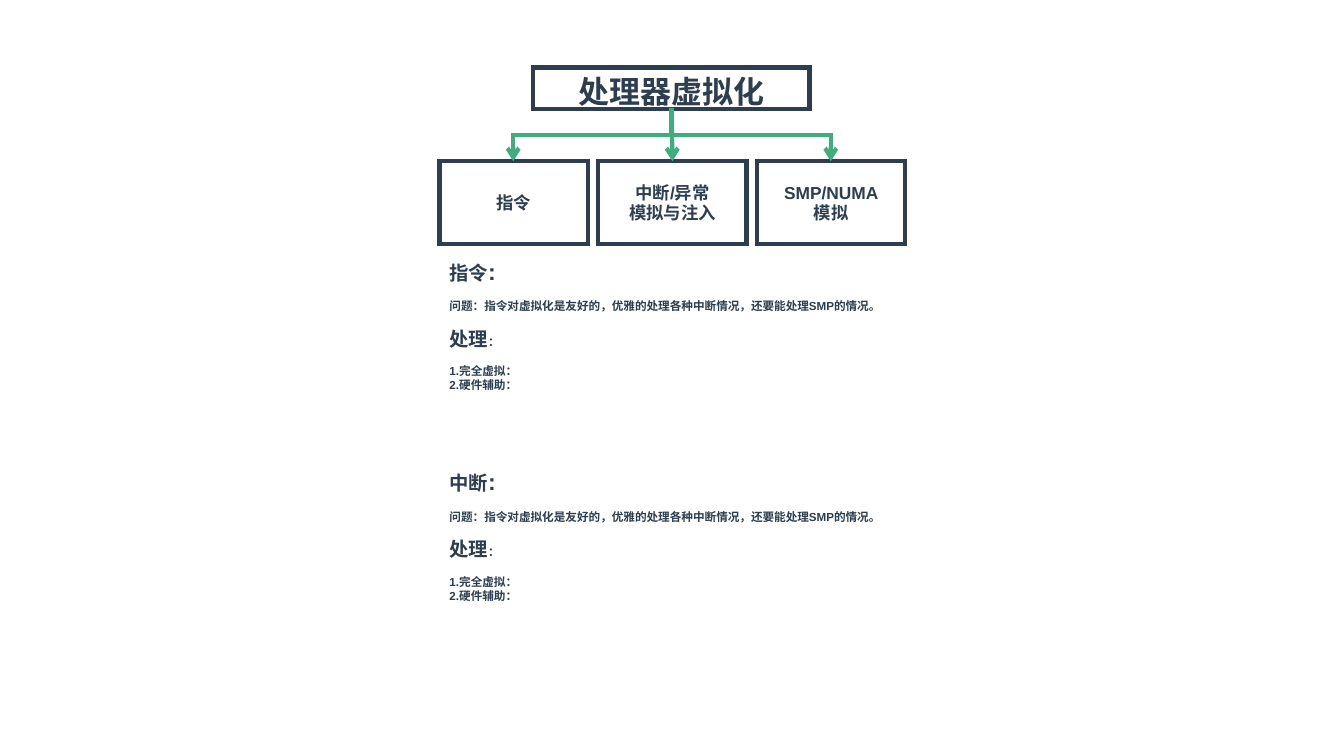
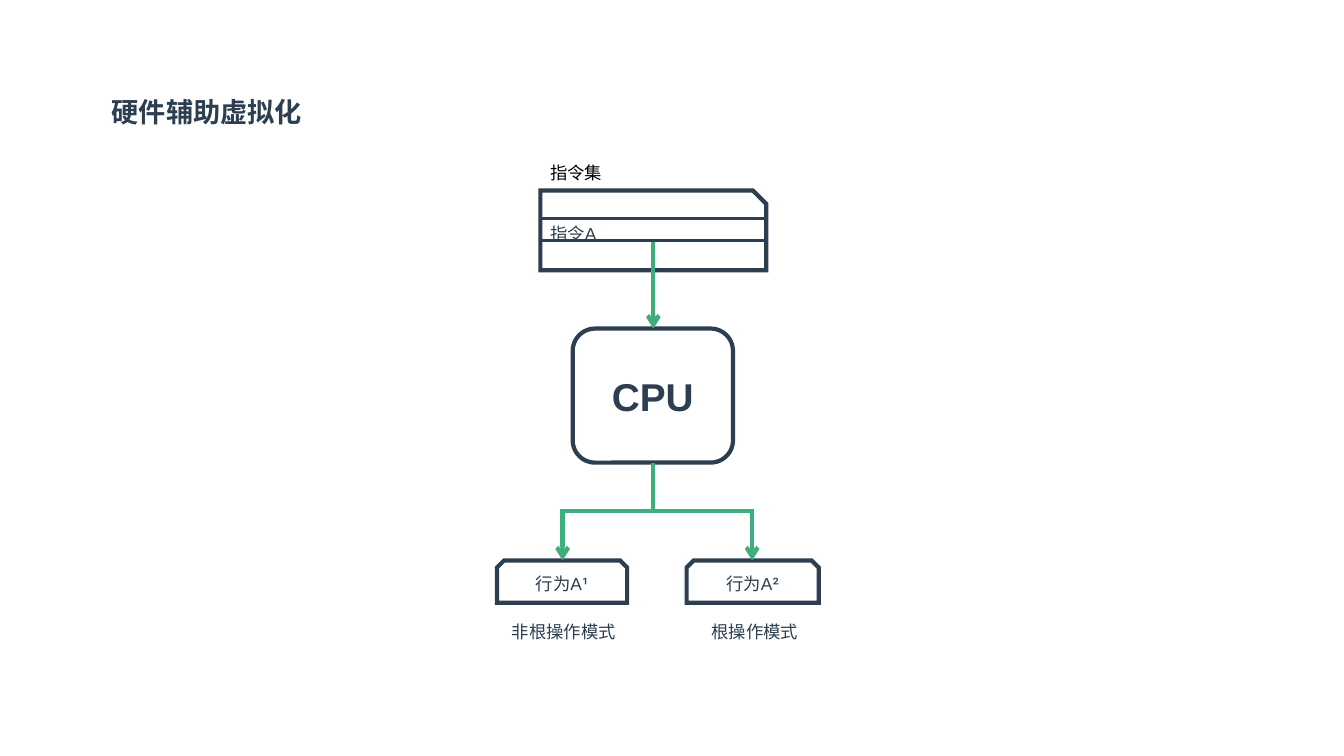
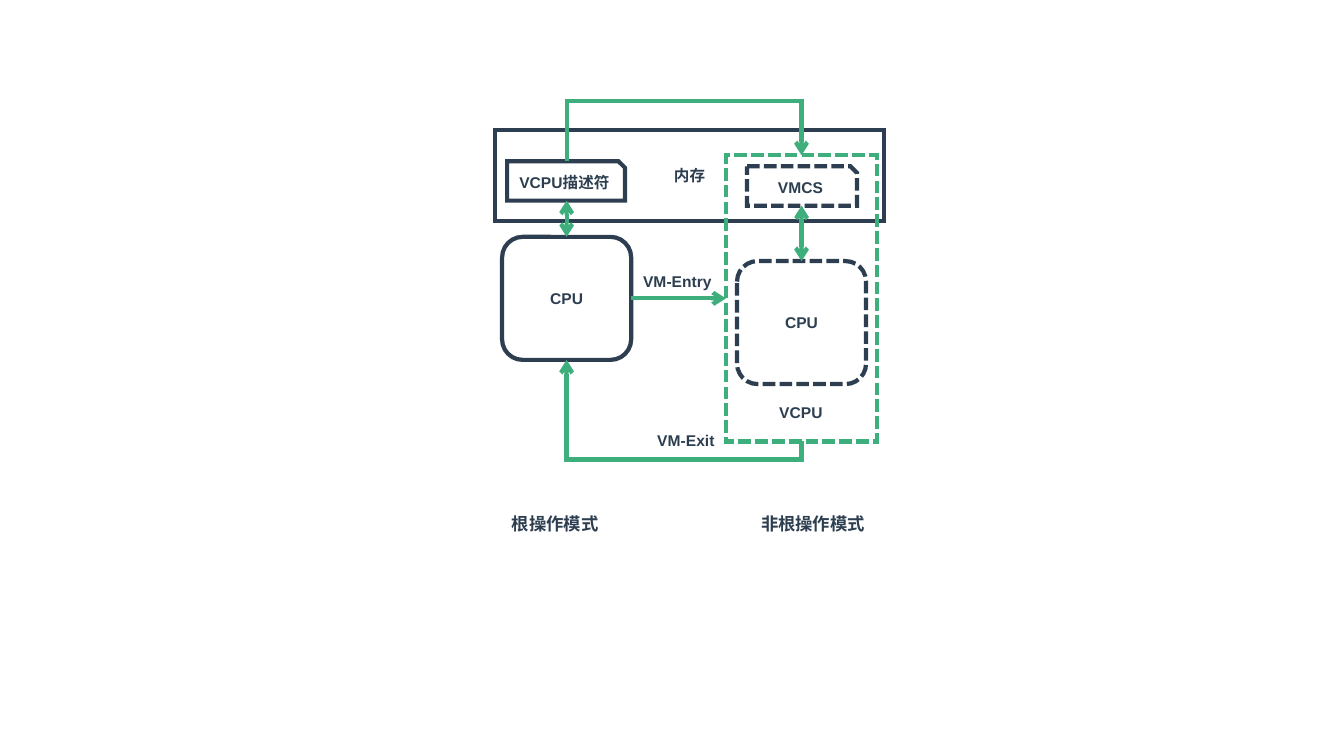
from lxml import etree
from pptx import Presentation
from pptx.dml.color import RGBColor
from pptx.enum.dml import MSO_LINE
from pptx.enum.shapes import MSO_CONNECTOR, MSO_SHAPE
from pptx.enum.text import MSO_ANCHOR, MSO_AUTO_SIZE, PP_ALIGN
from pptx.oxml.ns import qn
from pptx.util import Inches, Pt

RECT = MSO_SHAPE.RECTANGLE
ROUND = MSO_SHAPE.ROUNDED_RECTANGLE
SNIP = MSO_SHAPE.SNIP_1_RECTANGLE
SNIPS = MSO_SHAPE.SNIP_2_SAME_RECTANGLE
STRAIGHT, ELBOW = MSO_CONNECTOR.STRAIGHT, MSO_CONNECTOR.ELBOW
LEFT, CENTER = PP_ALIGN.LEFT, PP_ALIGN.CENTER
TOP, MIDDLE = MSO_ANCHOR.TOP, MSO_ANCHOR.MIDDLE
DASH = MSO_LINE.SQUARE_DOT
GROW = MSO_AUTO_SIZE.SHAPE_TO_FIT_TEXT
color = RGBColor.from_string
NAVY, GREEN, BLACK = "2C3E50", "3EAF7C", "000000"


def put(slide, kind, at, lines=(), size=12.4, bold=True, ink=NAVY, edge=NAVY,
        width=3, dash=None, align=CENTER, anchor=MIDDLE, gaps=()):
    place = [Inches(v) for v in at]
    if kind is None:
        shape = slide.shapes.add_textbox(*place)
        shape.text_frame.auto_size = GROW
        align, anchor = LEFT, TOP
    else:
        shape = slide.shapes.add_shape(kind, *place)
        shape.shadow.inherit = False
        shape.fill.background()
        shape.line.color.rgb = color(edge)
        shape.line.width = Pt(width)
        if dash:
            shape.line.dash_style = dash
        etree.SubElement(shape.line._ln, qn("a:miter"), lim="800000")
    frame = shape.text_frame
    frame.word_wrap = kind is not None
    frame.vertical_anchor = anchor
    for i, runs in enumerate(lines):
        para = frame.paragraphs[0] if i == 0 else frame.add_paragraph()
        para.alignment = align
        if i < len(gaps) and gaps[i]:
            para.space_before = Pt(gaps[i])
        for text, extra in [(runs, {})] if isinstance(runs, str) else runs:
            run = para.add_run()
            run.text = text
            style = {"name": "Arial", "size": Pt(size), "bold": bold} | extra
            for key, value in style.items():
                setattr(run.font, key, value)
            run.font.color.rgb = color(ink)


def wire(slide, start, end, bend=None, both=False):
    (x1, y1), (x2, y2) = start, end
    if bend is None:
        line = slide.shapes.add_connector(STRAIGHT, *[Inches(v) for v in start + end])
    else:
        long, tall = abs(y2 - y1), abs(x2 - x1)
        left, top = (x1 + x2 - long) / 2, (y1 + y2 - tall) / 2
        ends = (left, top, left + long, top + tall)
        line = slide.shapes.add_connector(ELBOW, *[Inches(v) for v in ends])
        up, right = y2 < y1, x2 > x1
        form = line._element.spPr.find(qn("a:xfrm"))
        form.set("rot", str((270 if up and right else 90) * 60000))
        if up != right:
            form.set("flipH" if up else "flipV", "1")
        guides = line._element.spPr.find(qn("a:prstGeom")).find(qn("a:avLst"))
        share = round((bend - y1) / (y2 - y1) * 100000)
        etree.SubElement(guides, qn("a:gd"), name="adj1", fmla=f"val {share}")
    line.line.color.rgb = color(GREEN)
    line.line.width = Pt(3)
    pen = line.line._ln
    etree.SubElement(pen, qn("a:miter"), lim="800000")
    if both:
        etree.SubElement(pen, qn("a:headEnd"), type="arrow")
    etree.SubElement(pen, qn("a:tailEnd"), type="arrow")
    etree.SubElement(line._element.spPr, qn("a:effectLst"))


deck = Presentation()
deck.slide_width, deck.slide_height = Inches(13.33), Inches(7.5)
first, second, third = [deck.slides.add_slide(deck.slide_layouts[6]) for _ in range(3)]

parts = [["指令"], ["中断/异常", "模拟与注入"], ["SMP/NUMA", "模拟"]]
for i, lines in enumerate(parts):
    put(first, RECT, (4.36 + 1.575 * i, 1.6, 1.47, 0.82), lines)
put(first, RECT, (5.29, 0.67, 2.74, 0.41), ["处理器虚拟化"], size=22.1, anchor=TOP)
for x, bend in [(5.09, 1.34), (8.24, 1.34), (6.67, None)]:
    wire(first, (6.66, 1.07), (x, 1.6), bend)
big = {"size": Pt(13.8)}
for top, name in [(2.5, "指令"), (4.59, "中断")]:
    put(first, None, (4.36, top, 4.5, 1.45), [
        [(name, big), (":", {"size": Pt(16.6)})],
        "问题：指令对虚拟化是友好的，优雅的处理各种中断情况，还要能处理SMP的情况。",
        [("处理", big), ("：", {})],
        "1.完全虚拟：",
        "2.硬件辅助：",
    ], size=8.3, gaps=(0, 10, 10, 10))

put(second, None, (1.01, 0.9, 2.1, 0.43), ["硬件辅助虚拟化"], size=19.4)
put(second, None, (5.36, 1.56, 0.72, 0.31), ["指令集"], bold=False, ink=BLACK)
put(second, SNIP, (5.36, 1.89, 2.24, 0.79), ["指令A"], bold=False, align=LEFT)
put(second, RECT, (5.36, 2.17, 2.23, 0.22), width=2.25)
put(second, ROUND, (5.68, 3.26, 1.59, 1.33), ["CPU"], size=27.7)
wire(second, (6.48, 2.4), (6.48, 3.26))
modes = [
    (4.93, 1.29, "¹", 5.58, 4.98, 1.24, "非根操作模式"),
    (6.81, 1.31, "²", 7.46, 6.96, 1.07, "根操作模式"),
]
for left, wide, mark, mid, start, span, mode in modes:
    put(second, SNIPS, (left, 5.56, wide, 0.42),
        [[("行为A", {}), (mark, {"name": "Roboto"})]], bold=False)
    wire(second, (6.48, 4.59), (mid, 5.56), 5.07)
    put(second, None, (start, 6.11, span, 0.31), [mode], bold=False)

nodes = [
    (ROUND, (4.98, 2.35, 1.28, 1.22), ["CPU"], NAVY, None),
    (SNIP, (7.41, 1.65, 1.09, 0.39), ["VMCS"], NAVY, DASH),
    (ROUND, (7.31, 2.59, 1.28, 1.22), ["CPU"], NAVY, DASH),
    (RECT, (4.91, 1.29, 3.86, 0.9), ["内存"], NAVY, None),
    (SNIP, (5.03, 1.6, 1.17, 0.39), ["VCPU描述符"], NAVY, None),
    (RECT, (7.2, 1.54, 1.5, 2.84), [], GREEN, DASH),
]
for kind, at, lines, edge, dash in nodes:
    put(third, kind, at, lines, size=11.1, edge=edge, dash=dash)
host, guest = 5.62, 7.95
wire(third, (6.26, 2.96), (7.2, 2.96))
wire(third, (host, 1.6), (guest, 1.54), 1)
wire(third, (guest, 4.38), (host, 3.57), 4.56)
wire(third, (host, 1.99), (host, 2.35), both=True)
wire(third, (guest, 2.04), (guest, 2.59), both=True)
tags = [
    (7.63, 3.95, 0.63, 0.29, "VCPU", 11.1),
    (6.28, 2.65, 0.89, 0.29, "VM-Entry", 11.1),
    (6.42, 4.23, 0.78, 0.29, "VM-Exit", 11.1),
    (4.98, 5.04, 1.07, 0.31, "根操作模式", 12.4),
    (7.45, 5.04, 1.25, 0.31, "非根操作模式", 12.4),
]
for *at, text, size in tags:
    put(third, None, at, [text], size=size)

deck.save("out.pptx")
